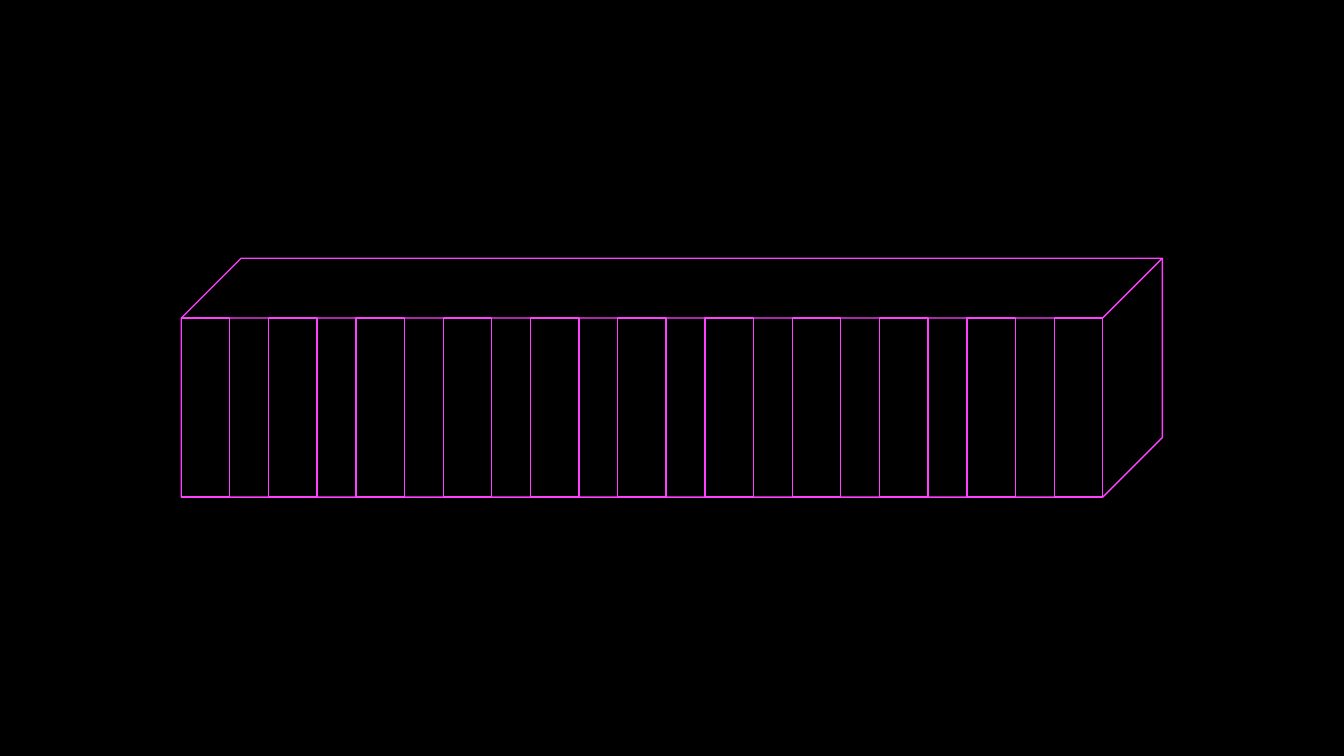
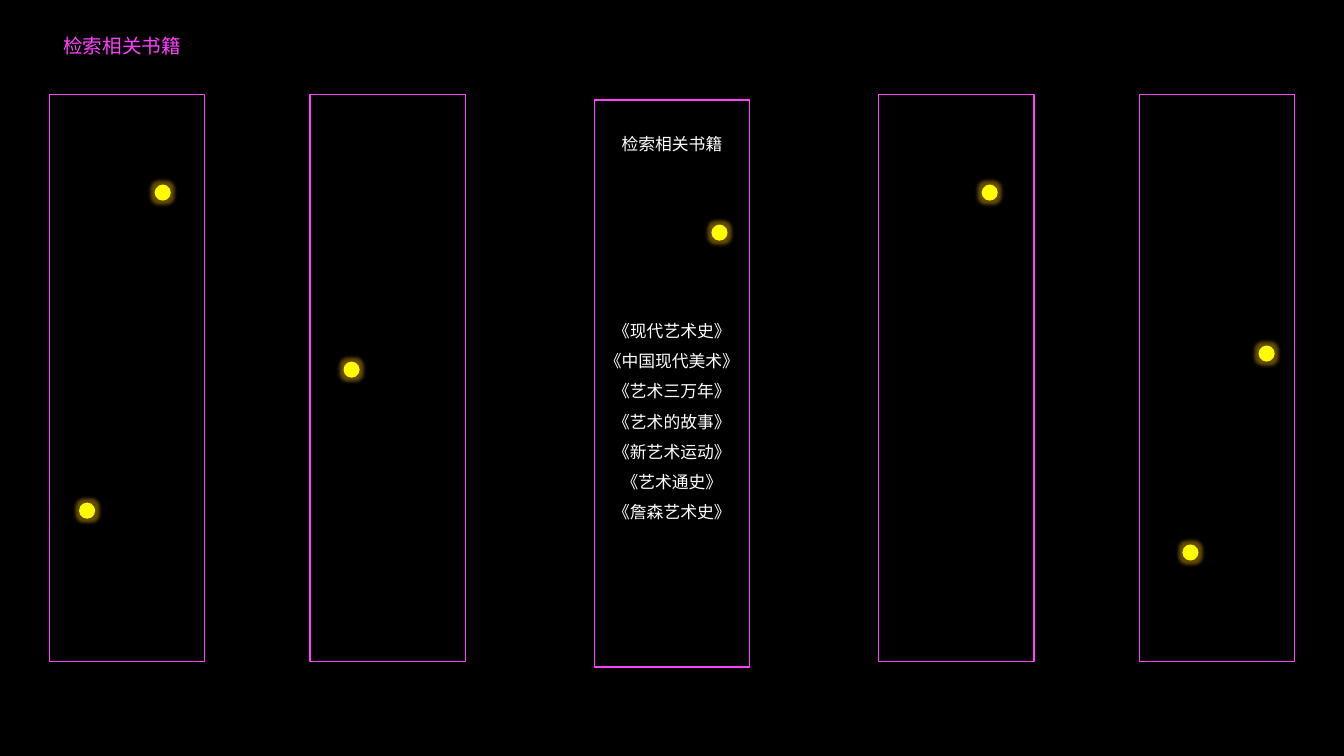
import pptx
import pptx.util
import pptx.dml.color
import pptx.enum.shapes
import pptx.enum.text
import pptx.oxml
import pptx.oxml.ns

Pt = pptx.util.Pt
SHAPES = pptx.enum.shapes.MSO_SHAPE

BLACK = "000000"
WHITE = "FFFFFF"
MAGENTA = "FF40FF"
YELLOW = "FFFC00"
AMBER = "FFC000"
FONT = "Noto Sans CJK SC"

HEADING = "检索相关书籍"
BOOKS = [
    "《现代艺术史》",
    "《中国现代美术》",
    "《艺术三万年》",
    "《艺术的故事》",
    "《新艺术运动》",
    "《艺术通史》",
    "《詹森艺术史》",
]
LIGHTS = [
    (110.5, 131.8),
    (245.4, 258.3),
    (508.2, 160.4),
    (56.5, 359),
    (701.2, 131.8),
    (899, 246.8),
    (844.6, 388.9),
]


def rgb(value):
    return pptx.dml.color.RGBColor.from_string(value)


def add_dark_slide(deck):
    slide = deck.slides.add_slide(deck.slide_layouts[6])
    slide.background.fill.solid()
    slide.background.fill.fore_color.rgb = rgb(BLACK)
    return slide


def add_outline(slide, kind, left, top, width, height):
    outline = slide.shapes.add_shape(kind, Pt(left), Pt(top), Pt(width), Pt(height))
    outline.shadow.inherit = False
    outline.fill.background()
    outline.line.color.rgb = rgb(MAGENTA)
    outline.line.width = Pt(1)


def add_light(slide, left, top, size=11.5, glow_radius=5):
    """Add a yellow dot with a soft amber glow."""
    light = slide.shapes.add_shape(SHAPES.OVAL, Pt(left), Pt(top), Pt(size), Pt(size))
    light.shadow.inherit = False
    light.fill.solid()
    light.fill.fore_color.rgb = rgb(YELLOW)
    light.line.fill.background()
    effects = light._element.spPr.find(pptx.oxml.ns.qn("a:effectLst"))
    effects.append(pptx.oxml.parse_xml(
        f'<a:glow {pptx.oxml.ns.nsdecls("a")} rad="{Pt(glow_radius)}">'
        f'<a:srgbClr val="{AMBER}"><a:alpha val="40000"/></a:srgbClr></a:glow>'))


def add_text(slide, lines, left, top, width, height, size, color, spacing=1):
    """Add centred text, one paragraph for each line."""
    box = slide.shapes.add_textbox(Pt(left), Pt(top), Pt(width), Pt(height))
    frame = box.text_frame
    frame.word_wrap = True
    frame.auto_size = pptx.enum.text.MSO_AUTO_SIZE.SHAPE_TO_FIT_TEXT
    frame.text = "\n".join(lines)
    for paragraph in frame.paragraphs:
        paragraph.alignment = pptx.enum.text.PP_ALIGN.CENTER
        paragraph.line_spacing = spacing
        for run in paragraph.runs:
            run.font.size = Pt(size)
            run.font.color.rgb = rgb(color)
            run.font.name = FONT
            run.font._element.append(pptx.oxml.parse_xml(
                f'<a:ea {pptx.oxml.ns.nsdecls("a")} typeface="{FONT}"/>'))


def build_bookshelf(deck):
    slide = add_dark_slide(deck)
    left, top, width, height = 129.5, 184.5, 700.8, 170.6
    depth = height / 4
    spine_count, spine_width = 11, 34.6
    pitch = (width - depth - spine_width) / (spine_count - 1)
    add_outline(slide, SHAPES.CUBE, left, top, width, height)
    for index in range(spine_count):
        add_outline(slide, SHAPES.RECTANGLE, left + index * pitch, top + depth,
                    spine_width, height - depth)


def build_search(deck):
    slide = add_dark_slide(deck)
    center_left, panel_width, panel_height = 424.5, 111, 405
    for offset in (-389.3, -203, 0, 203, 389.3):
        top = 67.5 if offset else 71.5
        add_outline(slide, SHAPES.RECTANGLE, center_left + offset, top,
                    panel_width, panel_height)
    for left, top in LIGHTS:
        add_light(slide, left, top)
    add_text(slide, [HEADING], 427.8, 92.2, 104.4, 21.8, 12, WHITE)
    add_text(slide, BOOKS, center_left, 218.2, panel_width, 157.7, 12, WHITE, 1.5)
    add_text(slide, [HEADING], 35, 20.9, 104.4, 24.2, 14, MAGENTA)


def main():
    deck = pptx.Presentation()
    deck.slide_width, deck.slide_height = Pt(960), Pt(540)
    build_bookshelf(deck)
    build_search(deck)
    deck.save("out.pptx")


if __name__ == "__main__":
    main()
